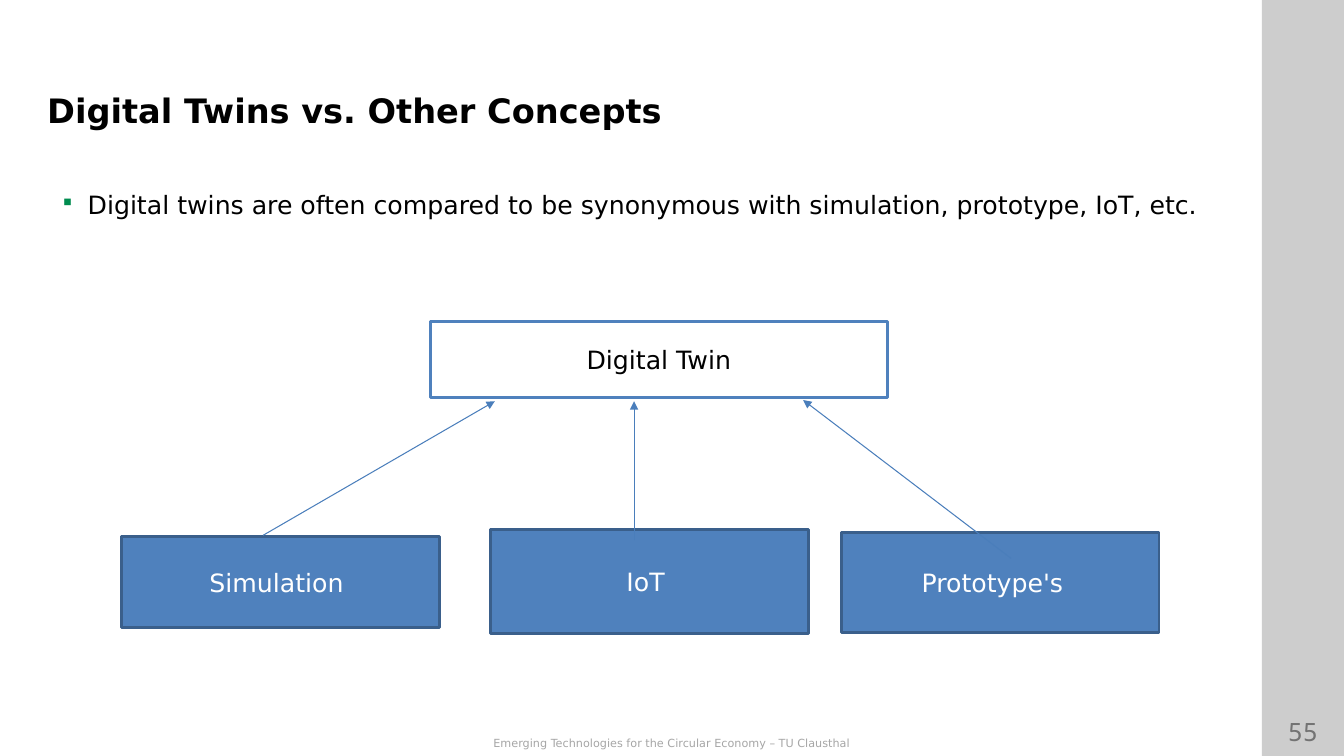
from lxml import etree
from pptx import Presentation
from pptx.dml.color import RGBColor
from pptx.enum.shapes import MSO_CONNECTOR, MSO_SHAPE
from pptx.enum.text import MSO_ANCHOR, PP_ALIGN
from pptx.oxml.ns import qn
from pptx.util import Cm, Pt

RECT, STRAIGHT = MSO_SHAPE.RECTANGLE, MSO_CONNECTOR.STRAIGHT
TOP, MIDDLE = MSO_ANCHOR.TOP, MSO_ANCHOR.MIDDLE
LEFT, CENTER = PP_ALIGN.LEFT, PP_ALIGN.CENTER
SANS, MONO = "DejaVu Sans", "Noto Sans Mono"
WIDTH, HEIGHT = 33.87, 19.05
CONCEPT_W = 8
CONCEPTS = [
    ("Simulation", 0, 5.41, 2.31, 0.2),
    ("IoT", 9.3, 5.24, 2.62, 0.2),
    ("Prototype's", 18.14, 5.31, 2.54, 0.4),
]
ARROWS = [
    (3.56, 5.39, 9.4, 2.01),
    (12.91, 5.51, 12.91, 2.01),
    (22.41, 5.97, 17.17, 1.98),
]


def color(value):
    """Turn a hex string into a colour."""
    return RGBColor.from_string(value)


def write(s, text, size, ink, align=CENTER, anchor=MIDDLE, font=SANS, bold=False):
    """Put one formatted paragraph into a shape and return it."""
    tf = s.text_frame
    tf.word_wrap = True
    tf.vertical_anchor = anchor
    p = tf.paragraphs[0]
    p.text = text
    p.alignment = align
    p.font.name, p.font.size, p.font.bold = font, Pt(size), bold
    p.font.color.rgb = color(ink)
    return p


def add_text(slide, box, text, size, ink, **style):
    """Add a text box and return its paragraph."""
    s = slide.shapes.add_textbox(*map(Cm, box))
    return write(s, text, size, ink, **style)


def add_rect(slide, box, fill, line=None):
    """Add a flat rectangle, outlined when a line colour is given."""
    s = slide.shapes.add_shape(RECT, *map(Cm, box))
    s.shadow.inherit = False
    s.fill.solid()
    s.fill.fore_color.rgb = color(fill)
    if line:
        s.line.color.rgb = color(line)
        s.line.width = Pt(2)
    else:
        s.line.fill.background()
    return s


def add_arrow(slide, ends):
    """Add a thin straight arrow from the first point to the second."""
    s = slide.shapes.add_connector(STRAIGHT, *map(Cm, ends))
    s.line.color.rgb = color("4A7EBB")
    s.line.width = Pt(0.75)
    etree.SubElement(s.line._get_or_add_ln(), qn("a:tailEnd"), type="triangle")
    etree.SubElement(s._element.spPr, qn("a:effectLst"))


def add_bullet(p, indent):
    """Give a paragraph a small green square bullet with a hanging indent."""
    pPr = p._p.get_or_add_pPr()
    pPr.set("marL", str(Cm(indent)))
    pPr.set("indent", str(-Cm(indent)))
    clr = etree.Element(qn("a:buClr"))
    etree.SubElement(clr, qn("a:srgbClr"), val="008C4F")
    size = etree.Element(qn("a:buSzPct"), val="45000")
    char = etree.Element(qn("a:buChar"), char="■")
    for i, element in enumerate((clr, size, char)):
        pPr.insert(i, element)


def sidebar(slide, x, y, w, h):
    """Draw the grey side band with the page number at its foot."""
    add_rect(slide, (x, y, w, h), "CDCDCD")
    add_text(slide, (x, y + h - 1.12, w, 1.12), "55", 18, "737373",
             anchor=TOP, font=MONO)


def footer(slide, x, y, w, h):
    """Write the centred footer line."""
    add_text(slide, (x, y, w, h),
             "Emerging Technologies for the Circular Economy – TU Clausthal",
             8, "A6A6A6", anchor=TOP)


def heading(slide, x, y, w, h):
    """Write the title and the bullet below it."""
    add_text(slide, (x, y, w, 1.4), "Digital Twins vs. Other Concepts",
             24, "000000", align=LEFT, anchor=TOP, bold=True)
    p = add_text(slide, (x + 0.41, y + h - 1.4, w, 1.4),
                 "Digital twins are often compared to be synonymous with "
                 "simulation, prototype, IoT, etc.",
                 18, "000000", align=LEFT)
    add_bullet(p, 0.61)


def diagram(slide, x, y):
    """Draw the three concepts pointing up to the digital twin."""
    for name, dx, dy, h, inset in CONCEPTS:
        s = add_rect(slide, (x + dx, y + dy, CONCEPT_W, h), "4F81BD", "3A5F8B")
        write(s, name, 18, "FFFFFF")
        s.text_frame.margin_right = Cm(0.25 + inset)
    for x1, y1, x2, y2 in ARROWS:
        add_arrow(slide, (x + x1, y + y1, x + x2, y + y2))
    twin = add_rect(slide, (x + 7.78, y, 11.51, 1.91), "FFFFFF", "4F81BD")
    write(twin, "Digital Twin", 18, "000000")


def main():
    """Build the slide and save it."""
    prs = Presentation()
    prs.slide_width, prs.slide_height = Cm(WIDTH), Cm(HEIGHT)
    slide = prs.slides.add_slide(prs.slide_layouts[6])
    sidebar(slide, 31.8, 0, WIDTH - 31.8, HEIGHT)
    footer(slide, 0, 18.44, WIDTH, 0.58)
    diagram(slide, 3.07, 8.1)
    heading(slide, 0.94, 2.13, 29.87, 3.71)
    prs.save("out.pptx")


if __name__ == "__main__":
    main()
